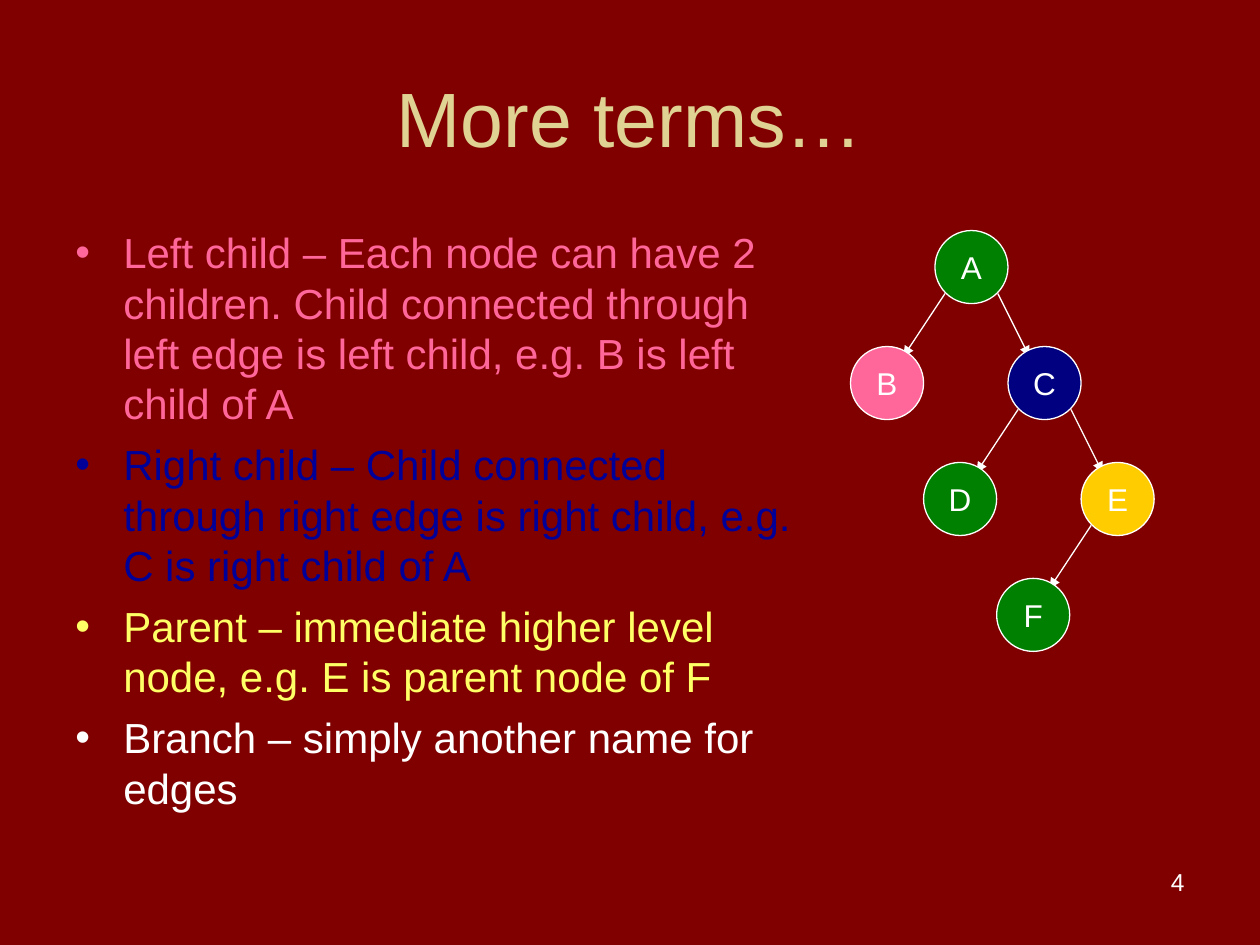
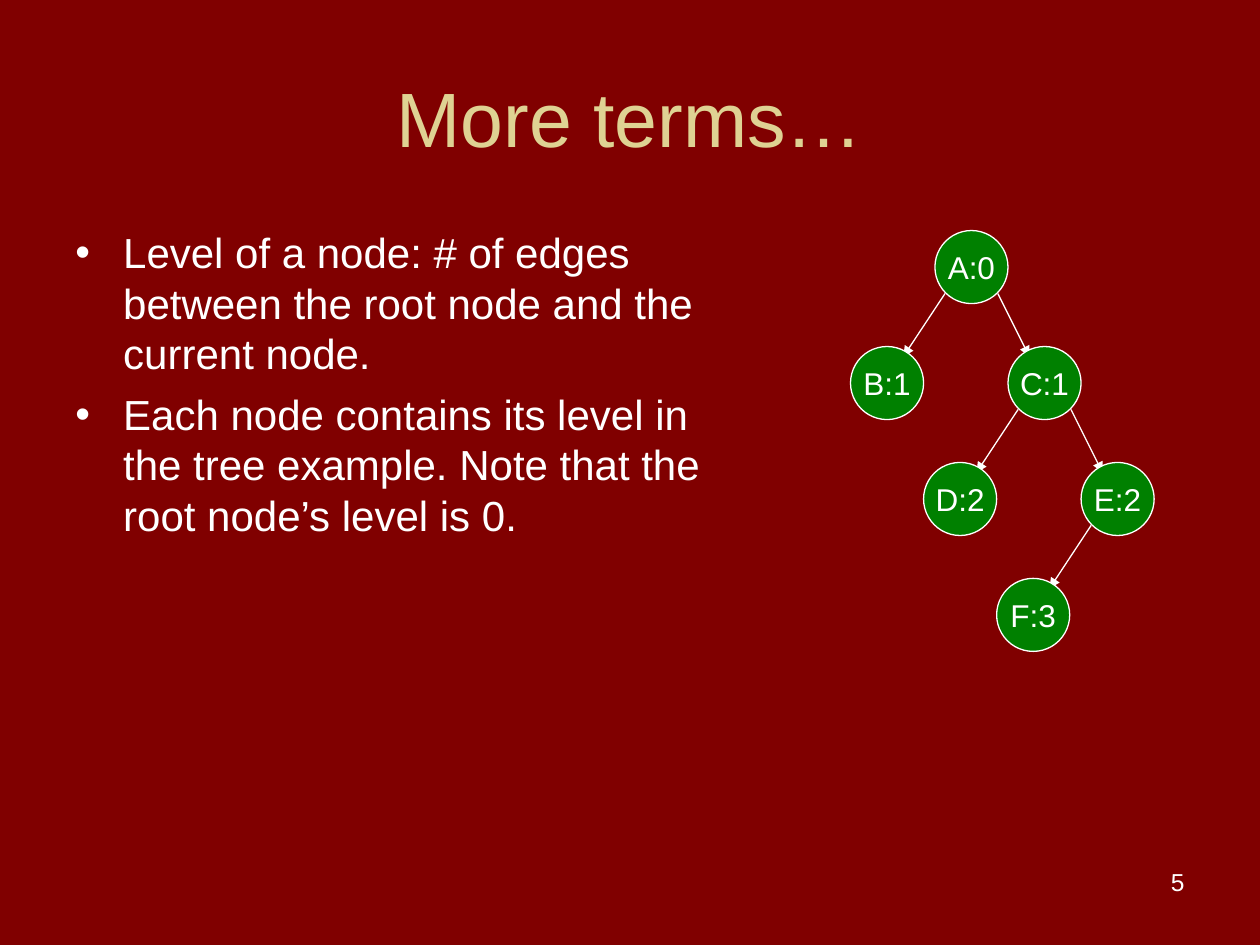
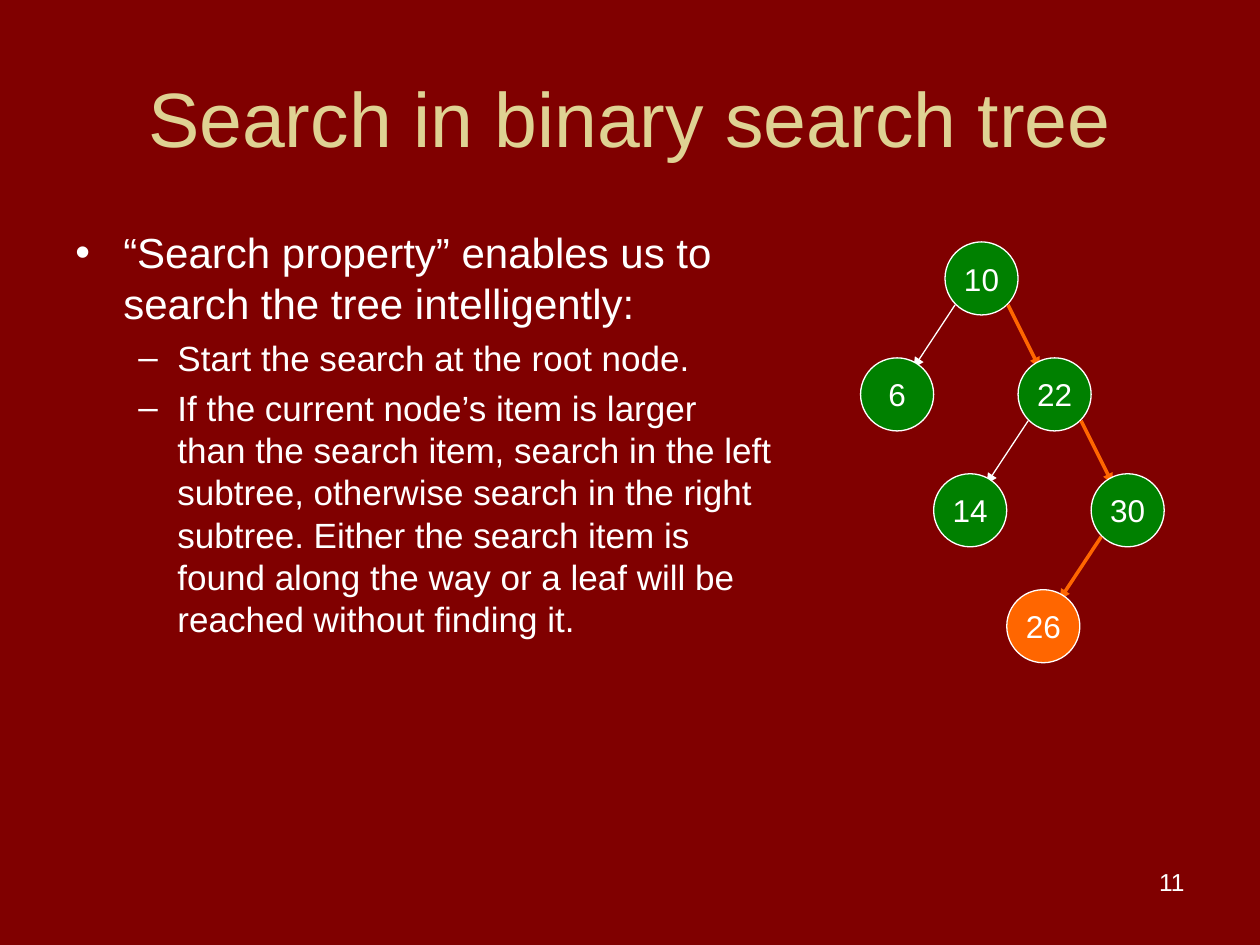
from pptx import Presentation
from pptx.dml.color import RGBColor
from pptx.enum.shapes import MSO_CONNECTOR, MSO_SHAPE
from pptx.enum.text import MSO_ANCHOR, PP_ALIGN
from pptx.oxml.ns import qn
from pptx.util import Inches, Pt
from lxml.etree import SubElement

MAROON = RGBColor(0x80, 0x00, 0x00)
SAND = RGBColor(0xDF, 0xD2, 0x93)
WHITE = RGBColor(0xFF, 0xFF, 0xFF)
GREEN = RGBColor(0x00, 0x80, 0x00)
PINK = RGBColor(0xFF, 0x66, 0x99)
NAVY = RGBColor(0x00, 0x00, 0x80)
BLUE = RGBColor(0x00, 0x00, 0x99)
GOLD = RGBColor(0xFF, 0xCC, 0x00)
YELLOW = RGBColor(0xFF, 0xFF, 0x66)
ORANGE = RGBColor(0xFF, 0x66, 0x00)
FONT = "Arial"

# Regions: left, top, width, height
TITLE = (0.5, 0.3, 9, 1.25)
NUMBER = (7.17, 6.83, 2.33, 0.52)

# Bullet levels: mark, margin, hang, space before, size
LEVELS = [("•", 0.38, 0.38, 6, 24), ("–", 0.81, 0.31, 5, 20)]

# Tree rules: node size, root offset, and per side the step to the child,
# the edge start in the parent and the edge end in the child
NODE = 0.58
ROOT = (0.67, 0)
SIDES = {
    "left": ((-0.67, 0.92), (0.08, 0.5), (0.42, 0.08)),
    "right": ((0.58, 0.92), (0.5, 0.5), (0.17, 0.08)),
}
# Parent and side of every node after the root
LINKS = [(0, "left"), (0, "right"), (2, "left"), (2, "right"), (4, "left")]


def add_run(para, text, size, color):
    run = para.add_run()
    run.text = text
    run.font.name = FONT
    run.font.size = Pt(size)
    run.font.color.rgb = color


def add_box(slide, box, anchor=MSO_ANCHOR.TOP):
    frame = slide.shapes.add_textbox(*map(Inches, box)).text_frame
    frame.word_wrap = True
    frame.vertical_anchor = anchor
    return frame


def add_line(slide, box, text, size, color, align, anchor=MSO_ANCHOR.TOP):
    para = add_box(slide, box, anchor).paragraphs[0]
    para.alignment = align
    add_run(para, text, size, color)


def set_bullet(para, level, color):
    mark, margin, hang, space, _ = LEVELS[level]
    para.level = level
    para.space_before = Pt(space)
    props = para._p.get_or_add_pPr()
    props.set("marL", str(Inches(margin)))
    props.set("indent", str(-Inches(hang)))
    tint = SubElement(props, qn("a:buClr"))
    SubElement(tint, qn("a:srgbClr"), val=str(color))
    SubElement(props, qn("a:buFont"), typeface=FONT)
    SubElement(props, qn("a:buChar"), char=mark)


def add_body(slide, box, items):
    frame = add_box(slide, box)
    for pos, (text, level, color) in enumerate(items):
        para = frame.add_paragraph() if pos else frame.paragraphs[0]
        set_bullet(para, level, color)
        add_run(para, text, LEVELS[level][4], color)


def add_node(slide, left, top, label, fill):
    node = slide.shapes.add_shape(
        MSO_SHAPE.OVAL, *map(Inches, (left, top, NODE, NODE)))
    node.shadow.inherit = False
    node.fill.solid()
    node.fill.fore_color.rgb = fill
    node.line.color.rgb = WHITE
    node.line.width = Pt(0.75)
    frame = node.text_frame
    frame.word_wrap = False
    frame.vertical_anchor = MSO_ANCHOR.MIDDLE
    para = frame.paragraphs[0]
    para.alignment = PP_ALIGN.CENTER
    add_run(para, label, 18, WHITE)


def add_edge(slide, start, end, color, width):
    edge = slide.shapes.add_connector(
        MSO_CONNECTOR.STRAIGHT, *map(Inches, start + end))
    edge.line.color.rgb = color
    edge.line.width = Pt(width)
    SubElement(edge.line._get_or_add_ln(), qn("a:tailEnd"), type="triangle")
    SubElement(edge._element.spPr, qn("a:effectLst"))


def shift(spot, step):
    return spot[0] + step[0], spot[1] + step[1]


def add_tree(slide, corner, labels, fills, route):
    """Draw the tree; edges into the nodes of the route stand out."""
    spots = [shift(corner, ROOT)]
    add_node(slide, *spots[0], labels[0], fills.get(labels[0], GREEN))
    for label, (parent, side) in zip(labels[1:], LINKS):
        step, start, end = SIDES[side]
        spot = shift(spots[parent], step)
        spots.append(spot)
        color, width = (ORANGE, 2) if label in route else (WHITE, 0.75)
        add_edge(slide, shift(spots[parent], start), shift(spot, end),
                 color, width)
        add_node(slide, *spot, label, fills.get(label, GREEN))


def add_page(deck, title, number, box, items, corner, labels,
             fills={}, route=()):
    slide = deck.slides.add_slide(deck.slide_layouts[6])
    slide.background.fill.solid()
    slide.background.fill.fore_color.rgb = MAROON
    add_line(slide, TITLE, title, 44, SAND, PP_ALIGN.CENTER,
             MSO_ANCHOR.MIDDLE)
    add_body(slide, box, items)
    add_tree(slide, corner, labels, fills, route)
    add_line(slide, NUMBER, number, 14, WHITE, PP_ALIGN.RIGHT)


def main():
    deck = Presentation()
    deck.slide_width, deck.slide_height = Inches(10), Inches(7.5)

    # Children, parent and branch
    add_page(deck, "More terms…", "4", (0.5, 1.75, 5.92, 4.95), [
        ("Left child – Each node can have 2 children. Child connected "
         "through left edge is left child, e.g. B is left child of A",
         0, PINK),
        ("Right child – Child connected through right edge is right child, "
         "e.g. C is right child of A", 0, BLUE),
        ("Parent – immediate higher level node, e.g. E is parent node of F",
         0, YELLOW),
        ("Branch – simply another name for edges", 0, WHITE),
    ], (6.75, 1.83), "ABCDEF", {"B": PINK, "C": NAVY, "E": GOLD})

    # Node levels
    add_page(deck, "More terms…", "5", (0.5, 1.75, 5.33, 4.95), [
        ("Level of a node: # of edges between the root node and the "
         "current node.", 0, WHITE),
        ("Each node contains its level in the tree example. Note that the "
         "root node’s level is 0.", 0, WHITE),
    ], (6.75, 1.83), ["A:0", "B:1", "C:1", "D:2", "E:2", "F:3"])

    # Search route
    add_page(deck, "Search in binary search tree", "11",
             (0.5, 1.75, 5.75, 5.17), [
        ("“Search property” enables us to search the tree intelligently:",
         0, WHITE),
        ("Start the search at the root node.", 1, WHITE),
        ("If the current node’s item is larger than the search item, search "
         "in the left subtree, otherwise search in the right subtree. Either "
         "the search item is found along the way or a leaf will be reached "
         "without finding it.", 1, WHITE),
    ], (6.83, 1.92), ["10", "6", "22", "14", "30", "26"],
        {"26": ORANGE}, ("22", "30", "26"))

    deck.save("out.pptx")


if __name__ == "__main__":
    main()
